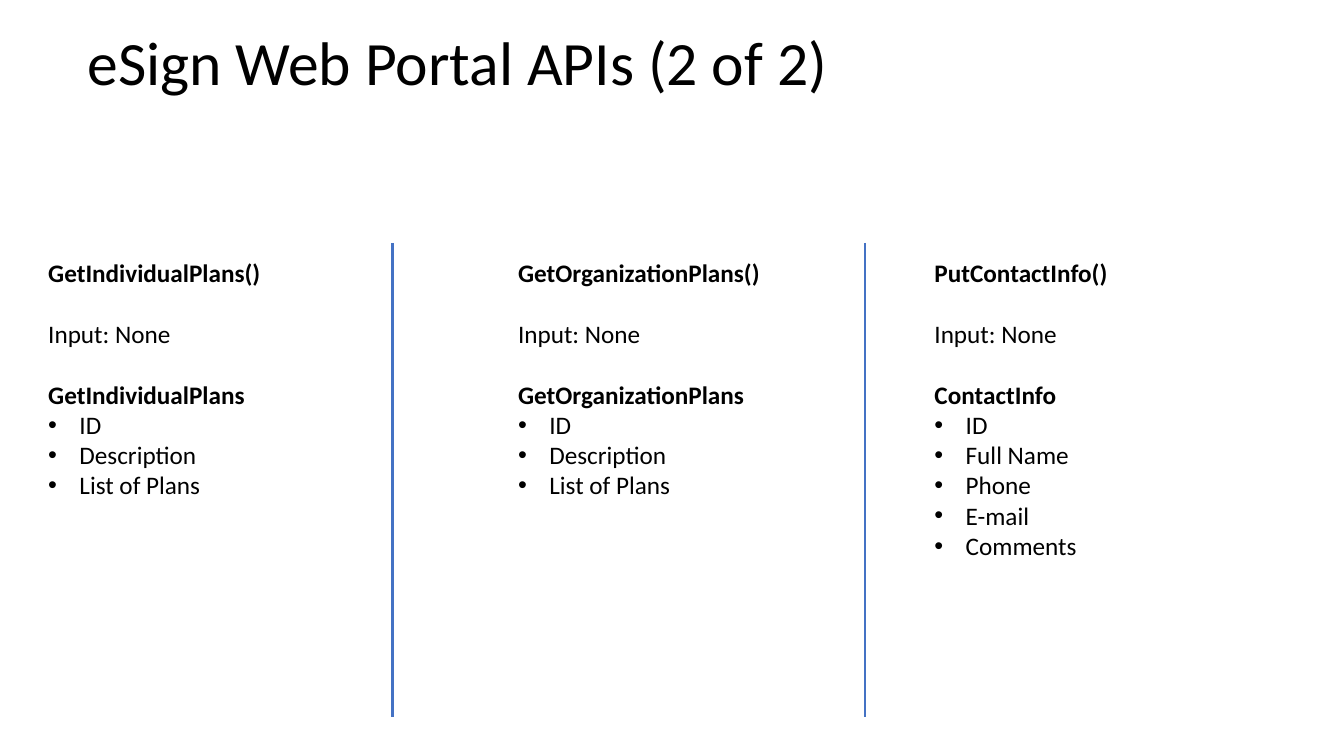
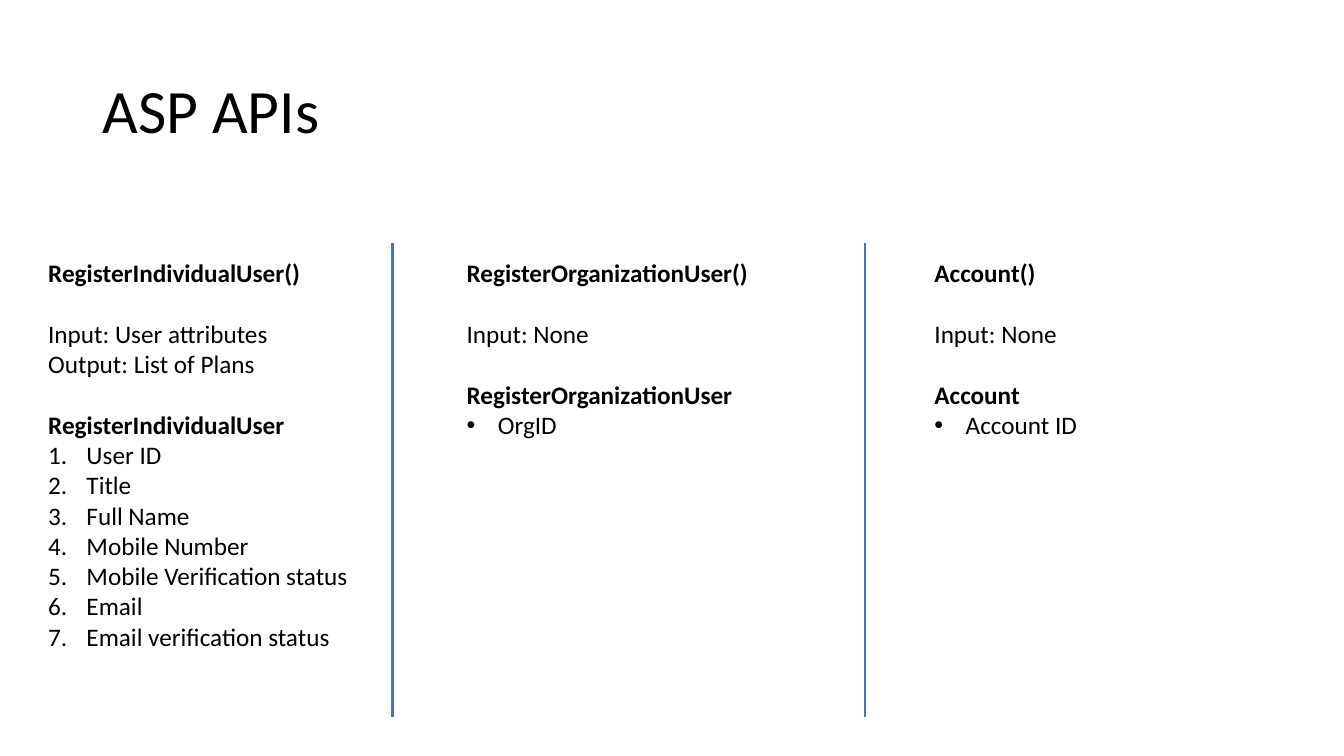
from dataclasses import dataclass
from typing import Optional

from lxml.etree import SubElement
from pptx import Presentation
from pptx.dml.color import RGBColor
from pptx.enum.shapes import MSO_CONNECTOR as Connector
from pptx.enum.text import MSO_ANCHOR as Anchor, MSO_AUTO_SIZE as AutoSize
from pptx.oxml.ns import qn
from pptx.util import Inches, Pt

COLORS = {"text": "000000", "divider": "4472C4"}
FONT = "Calibri"
BODY_SIZE = 18
BLANK_LINE = 22
COLUMN_TOP = 2.5
LINE_HEIGHT = 0.3
DIVIDERS = (3.89, 8.58)
DIVIDER_TOP, DIVIDER_BOTTOM = 2.41, 7.11


@dataclass(frozen=True)
class ListStyle:
    tag: str
    attribute: str
    value: str
    indent: float


BULLETS = ListStyle("a:buChar", "char", "•", 0.31)
NUMBERS = ListStyle("a:buAutoNum", "type", "arabicPeriod", 0.38)


@dataclass(frozen=True)
class ApiColumn:
    left: float
    width: float
    name: str
    fields: tuple[str, ...]
    signature: tuple[str, ...] = ("Input: None",)
    list_style: ListStyle = BULLETS


@dataclass(frozen=True)
class ApiPage:
    title: str
    title_at: tuple[float, float, float, float]
    columns: tuple[ApiColumn, ...]


PLAN_FIELDS = ("ID", "Description", "List of Plans")
CONTACT_FIELDS = ("ID", "Full Name", "Phone", "E-mail", "Comments")
USER_FIELDS = (
    "User ID", "Title", "Full Name", "Mobile Number",
    "Mobile Verification status", "Email", "Email verification status",
)

PAGES = (
    ApiPage("eSign Web Portal APIs (2 of 2)", (0.77, 0.19, 11.5, 0.93), (
        ApiColumn(0.38, 2.32, "GetIndividualPlans", PLAN_FIELDS),
        ApiColumn(5.04, 2.62, "GetOrganizationPlans", PLAN_FIELDS),
        ApiColumn(9.17, 1.93, "ContactInfo", CONTACT_FIELDS),
    )),
    ApiPage("ASP APIs", (0.92, 0.4, 11.5, 1.45), (
        ApiColumn(0.38, 3.2, "RegisterIndividualUser", USER_FIELDS,
                  ("Input: User attributes", "Output: List of Plans"), NUMBERS),
        ApiColumn(4.53, 3.01, "RegisterOrganizationUser", ("OrgID",)),
        ApiColumn(9.17, 1.63, "Account", ("Account ID",)),
    )),
)
CALLS = {"ContactInfo": "PutContactInfo"}


def write(frame, text: str, *, size: float = BODY_SIZE, bold: bool = False,
          before: float = 0, spacing: float = 1.0,
          list_style: Optional[ListStyle] = None) -> None:
    para = frame.paragraphs[0]
    if para.runs:
        para = frame.add_paragraph()
    para.space_before = Pt(before)
    para.line_spacing = spacing
    span = para.add_run()
    span.text = text
    span.font.name = FONT
    span.font.size = Pt(size)
    span.font.bold = bold
    span.font.color.rgb = RGBColor.from_string(COLORS["text"])
    if list_style:
        properties = para._p.get_or_add_pPr()
        indent = Inches(list_style.indent)
        properties.set("marL", str(indent))
        properties.set("indent", str(-indent))
        if list_style is BULLETS:
            SubElement(properties, qn("a:buFont")).set("typeface", "Arial")
        marker = SubElement(properties, qn(list_style.tag))
        marker.set(list_style.attribute, list_style.value)


def add_title(page, title: str, at: tuple[float, float, float, float]) -> None:
    frame = page.shapes.add_textbox(*map(Inches, at)).text_frame
    frame.word_wrap = True
    frame.vertical_anchor = Anchor.MIDDLE
    write(frame, title, size=44, spacing=0.9)


def add_column(page, column: ApiColumn) -> None:
    lines = 4 + len(column.signature) + len(column.fields)
    box = page.shapes.add_textbox(
        Inches(column.left), Inches(COLUMN_TOP),
        Inches(column.width), Inches(0.1 + lines * LINE_HEIGHT))
    frame = box.text_frame
    frame.word_wrap = False
    frame.auto_size = AutoSize.SHAPE_TO_FIT_TEXT
    write(frame, CALLS.get(column.name, column.name) + "()", bold=True)
    for index, text in enumerate(column.signature):
        write(frame, text, before=0 if index else BLANK_LINE)
    write(frame, column.name, bold=True, before=BLANK_LINE)
    for field in column.fields:
        write(frame, field, list_style=column.list_style)


def add_divider(page, left: float) -> None:
    line = page.shapes.add_connector(
        Connector.STRAIGHT, Inches(left), Inches(DIVIDER_TOP),
        Inches(left), Inches(DIVIDER_BOTTOM))
    line.line.color.rgb = RGBColor.from_string(COLORS["divider"])
    line.line.width = Pt(2)
    SubElement(line._element.spPr, qn("a:effectLst"))


def add_page(deck, content: ApiPage) -> None:
    page = deck.slides.add_slide(deck.slide_layouts[6])
    add_title(page, content.title, content.title_at)
    for column in content.columns:
        add_column(page, column)
    for left in DIVIDERS:
        add_divider(page, left)


deck = Presentation()
deck.slide_width = Inches(13.33)
deck.slide_height = Inches(7.5)
for content in PAGES:
    add_page(deck, content)
deck.save("out.pptx")
